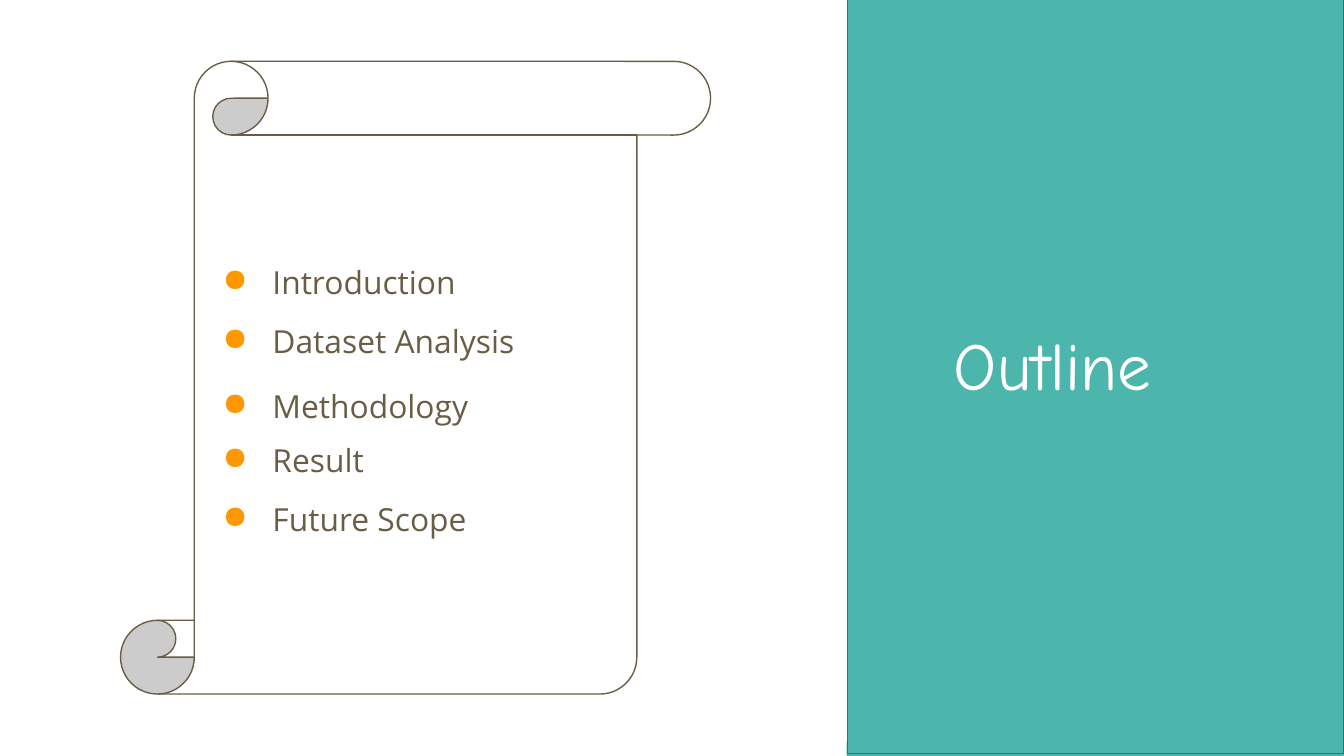
from dataclasses import dataclass

from lxml import etree
from pptx import Presentation
from pptx.dml.color import RGBColor
from pptx.enum.shapes import MSO_SHAPE
from pptx.enum.text import MSO_AUTO_SIZE
from pptx.oxml.ns import qn
from pptx.util import Cm, Pt

RECTANGLE = MSO_SHAPE.RECTANGLE
SCROLL = MSO_SHAPE.VERTICAL_SCROLL
FIT_SHAPE = MSO_AUTO_SIZE.SHAPE_TO_FIT_TEXT
NO_FIT = MSO_AUTO_SIZE.NONE

WHITE = "FFFFFF"
TEAL = "4DB6AC"
BROWN = "695D46"
ORANGE = "FF9800"

ITEM_TOP = 4.72
ITEM_PITCH = 1.12


@dataclass(frozen=True)
class Box:
    """A position and size in centimetres."""

    left: float
    top: float
    width: float
    height: float

    def lengths(self) -> tuple[Cm, Cm, Cm, Cm]:
        """Return the four values as lengths."""
        return Cm(self.left), Cm(self.top), Cm(self.width), Cm(self.height)


@dataclass(frozen=True)
class OutlineItem:
    """One bulleted entry on the scroll."""

    text: str
    line_spacing: float = 1.0


ITEMS = (
    OutlineItem("Introduction"),
    OutlineItem("Dataset Analysis"),
    OutlineItem("Methodology", line_spacing=1.15),
    OutlineItem("Result"),
    OutlineItem("Future Scope"),
)


def color(value: str) -> RGBColor:
    """Turn a hex string into a colour."""
    return RGBColor.from_string(value)


def add_panel(slide, kind, box: Box, fill: str, line: str | None = None) -> None:
    """Draw a filled preset shape with an optional thin outline."""
    shape = slide.shapes.add_shape(kind, *box.lengths())
    shape.shadow.inherit = False
    shape.fill.solid()
    shape.fill.fore_color.rgb = color(fill)
    if line:
        shape.line.color.rgb = color(line)
        shape.line.width = Pt(0.75)
    else:
        shape.line.fill.background()


def add_bullet(paragraph, bullet_color: str) -> None:
    """Give a paragraph a round bullet with a hanging indent."""
    properties = paragraph._p.get_or_add_pPr()
    properties.set("marL", str(Cm(1.27)))
    properties.set("indent", str(-Cm(0.94)))
    bullet_fill = etree.SubElement(properties, qn("a:buClr"))
    etree.SubElement(bullet_fill, qn("a:srgbClr"), val=bullet_color)
    etree.SubElement(properties, qn("a:buChar"), char="●")


def add_text(slide, box: Box, text: str, *, font: str, size: float, text_color: str,
             line_spacing: float = 1.0, bullet: str | None = None, fit=NO_FIT) -> None:
    """Place one paragraph of formatted text."""
    frame = slide.shapes.add_textbox(*box.lengths()).text_frame
    frame.word_wrap = True
    frame.auto_size = fit
    frame.margin_left = frame.margin_right = Cm(0.25)
    frame.margin_top = frame.margin_bottom = Cm(0.25)
    paragraph = frame.paragraphs[0]
    paragraph.line_spacing = line_spacing
    if bullet:
        add_bullet(paragraph, bullet)
    run = paragraph.add_run()
    run.text = text
    run.font.name = font
    run.font.size = Pt(size)
    run.font.color.rgb = color(text_color)


def main() -> None:
    """Build and save the outline slide."""
    presentation = Presentation()
    presentation.slide_width = Cm(25.4)
    presentation.slide_height = Cm(14.29)
    slide = presentation.slides.add_slide(presentation.slide_layouts[6])

    add_panel(slide, RECTANGLE, Box(0, 14.02, 25.4, 0.27), TEAL)
    add_panel(slide, SCROLL, Box(2.28, 1.16, 11.15, 11.96), WHITE, BROWN)
    for index, item in enumerate(ITEMS):
        add_text(slide, Box(3.63, ITEM_TOP + index * ITEM_PITCH, 8.43, 1.24), item.text,
                 font="Open Sans", size=17, text_color=BROWN,
                 line_spacing=item.line_spacing, bullet=ORANGE, fit=FIT_SHAPE)

    add_panel(slide, RECTANGLE, Box(16.02, -0.03, 9.37, 14.28), TEAL, BROWN)
    add_text(slide, Box(17.78, 5.87, 5.89, 2.54), "Outline",
             font="Comic Neue", size=36, text_color=WHITE)
    add_panel(slide, RECTANGLE, Box(-0.3, 13.74, 16.3, 0.61), WHITE)

    presentation.save("out.pptx")


if __name__ == "__main__":
    main()
